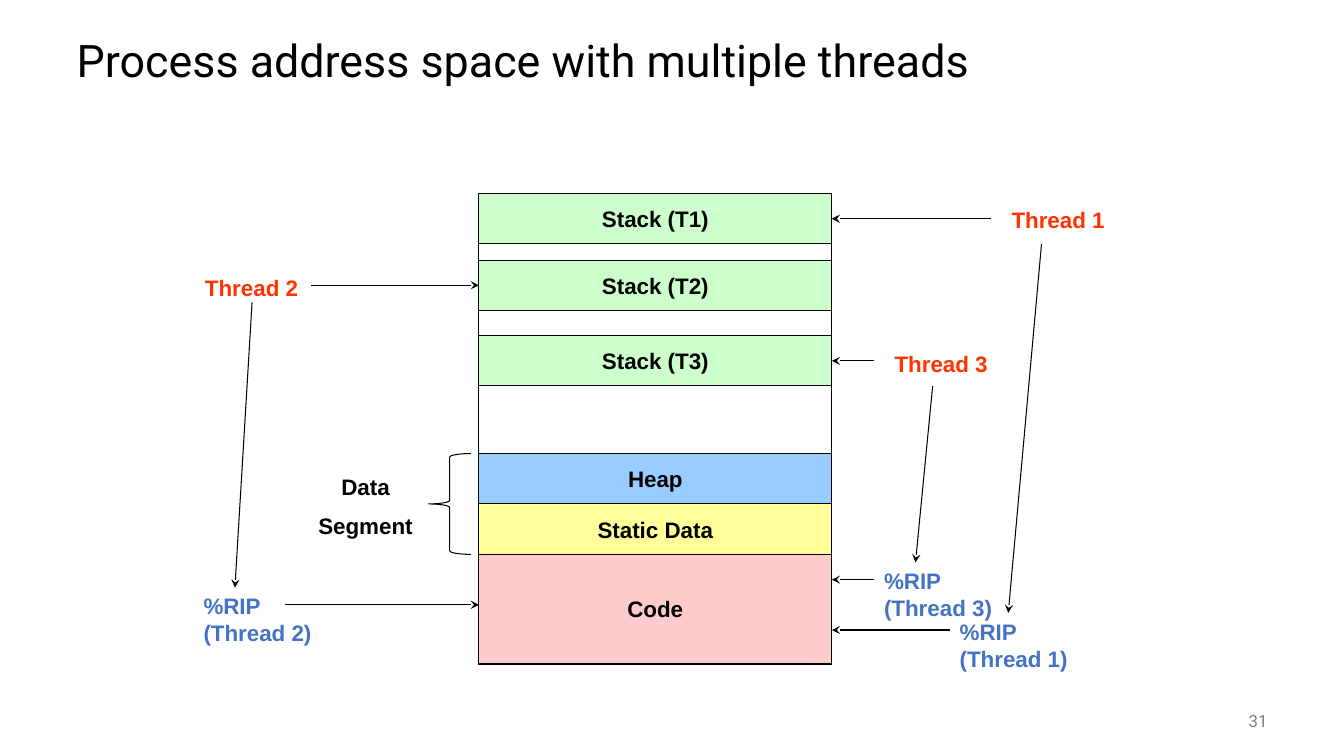
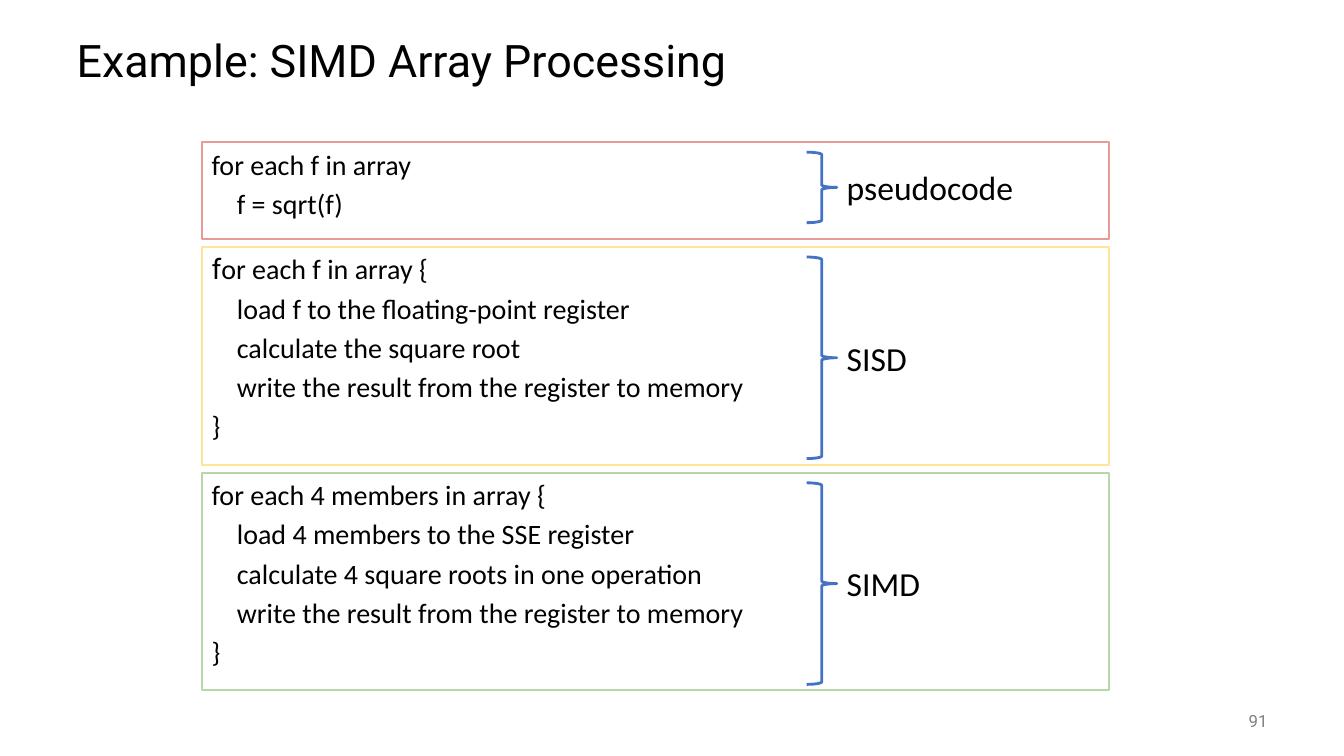
import dataclasses
import typing

import lxml.etree
import pptx
import pptx.dml.color
import pptx.enum.shapes
import pptx.enum.text
import pptx.oxml.ns
import pptx.shapes.autoshape
import pptx.slide
import pptx.text.text
import pptx.util

Inches = pptx.util.Inches
Pt = pptx.util.Pt
Align = pptx.enum.text.PP_ALIGN
Anchor = pptx.enum.text.MSO_ANCHOR
Form = pptx.enum.shapes.MSO_SHAPE
Format = dict[str, typing.Any]

# Shared colours and text styles
BLACK, GREY, RED, BLUE = "000000", "808080", "FF3300", "4472C4"
GREEN, SKY, YELLOW, PINK = "CCFFCC", "99CCFF", "FFFF99", "FFCCCC"

TITLE: Format = {"name": "Roboto", "size": Pt(32)}
NUMBER: Format = {"name": "Roboto", "size": Pt(12)}
LABEL: Format = {"name": "Arial", "size": Pt(16), "bold": True}
CODE: Format = {"name": "Calibri", "size": Pt(20)}
NOTE: Format = {"name": "Calibri", "size": Pt(24)}


class Span(typing.NamedTuple):
    text: str
    font: str


Line = str | tuple[Span, ...]


@dataclasses.dataclass
class Box:
    left: float
    top: float
    width: float
    height: float

    def place(self) -> tuple[int, ...]:
        return tuple(Inches(n) for n in dataclasses.astuple(self))


class Block(typing.NamedTuple):
    text: str
    top: float
    height: float
    fill: str


class Tag(typing.NamedTuple):
    lines: list[Line]
    box: Box
    color: str
    align: Align = Align.CENTER


class Arrow(typing.NamedTuple):
    x1: float
    y1: float
    x2: float
    y2: float


class Panel(typing.NamedTuple):
    label: str
    height: float
    brace: float
    color: str
    lines: list[Line]


def hue(color: str) -> pptx.dml.color.RGBColor:
    return pptx.dml.color.RGBColor.from_string(color)


def apply(target: typing.Any, values: Format) -> None:
    for name, value in values.items():
        setattr(target, name, value)


def write(frame: pptx.text.text.TextFrame, lines: list[Line], style: Format,
          color: str = BLACK, align: Align = Align.LEFT,
          anchor: Anchor = Anchor.TOP, gap: float = 0) -> None:
    """Fill a frame, one paragraph per line."""
    apply(frame, {"word_wrap": True, "vertical_anchor": anchor})
    for row, line in enumerate(lines):
        para = frame.paragraphs[0] if row == 0 else frame.add_paragraph()
        para.alignment = align
        if row:
            para.space_before = Pt(gap)
        spans = (Span(line, style["name"]),) if isinstance(line, str) else line
        for span in spans:
            run = para.add_run()
            run.text = span.text
            apply(run.font, style | {"name": span.font})
            run.font.color.rgb = hue(color)


def add_text(slide: pptx.slide.Slide, box: Box, lines: list[Line],
             style: Format, **look: typing.Any) -> None:
    frame = slide.shapes.add_textbox(*box.place()).text_frame
    write(frame, lines, style, **look)


def add_form(slide: pptx.slide.Slide, kind: Form, box: Box, line: str,
             width: float, fill: str = "") -> pptx.shapes.autoshape.Shape:
    shape = slide.shapes.add_shape(kind, *box.place())
    shape.shadow.inherit = False
    shape.line.color.rgb = hue(line)
    shape.line.width = Pt(width)
    if fill:
        shape.fill.solid()
        shape.fill.fore_color.rgb = hue(fill)
    else:
        shape.fill.background()
    return shape


def add_arrow(slide: pptx.slide.Slide, arrow: Arrow) -> None:
    link = slide.shapes.add_connector(
        pptx.enum.shapes.MSO_CONNECTOR.STRAIGHT, *(Inches(n) for n in arrow))
    link.line.color.rgb = hue(BLACK)
    link.line.width = Pt(0.75)
    qn = pptx.oxml.ns.qn
    props = link.element.spPr
    lxml.etree.SubElement(props.find(qn("a:ln")), qn("a:tailEnd"), type="stealth")
    lxml.etree.SubElement(props, qn("a:effectLst"))


def add_slide(deck: typing.Any, title: str, number: int) -> pptx.slide.Slide:
    """Add a slide with the shared title and page number."""
    slide = deck.slides.add_slide(deck.slide_layouts[5])
    head = slide.shapes.title
    spots = ("left", "top", "width", "height")
    apply(head, dict(zip(spots, Box(0.66, 0.25, 12, 0.75).place())))
    head.text_frame.auto_size = pptx.enum.text.MSO_AUTO_SIZE.NONE
    write(head.text_frame, [title], TITLE, anchor=Anchor.MIDDLE)
    head.text_frame.paragraphs[0].line_spacing = 0.9
    add_text(slide, Box(11.67, 6.95, 1, 0.4), [str(number)], NUMBER,
             color=GREY, align=Align.RIGHT, anchor=Anchor.MIDDLE)
    return slide


# Slide 31: memory layout
BLOCKS = [
    Block("Stack (T1)", 1.92, 0.5, GREEN),
    Block("Stack (T2)", 2.58, 0.5, GREEN),
    Block("Stack (T3)", 3.33, 0.5, GREEN),
    Block("Heap", 4.5, 0.5, SKY),
    Block("Static Data", 5, 0.5, YELLOW),
    Block("Code", 5.5, 1.08, PINK),
]
TAGS = [
    Tag(["Thread 1"], Box(9.58, 2, 1.83, 0.37), RED),
    Tag(["Thread 2"], Box(1.58, 2.67, 1.83, 0.37), RED),
    Tag(["Thread 3"], Box(8.42, 3.42, 1.83, 0.37), RED),
    Tag(["%RIP (Thread 1)"], Box(9.42, 6.08, 1.33, 0.64), BLUE, Align.LEFT),
    Tag(["%RIP (Thread 2)"], Box(1.92, 5.83, 1.41, 0.64), BLUE, Align.LEFT),
    Tag(["%RIP (Thread 3)"], Box(8.67, 5.58, 1.5, 0.64), BLUE, Align.LEFT),
    Tag(["Data", "Segment"], Box(3, 4.64, 1.25, 0.77), BLACK),
]
LEFT, WIDTH = 4.75, 3.5
RIGHT = LEFT + WIDTH
ARROWS = [
    # Threads to their stacks
    Arrow(9.83, 2.17, RIGHT, 2.17),
    Arrow(3.08, 2.83, LEFT, 2.83),
    Arrow(8.67, 3.58, RIGHT, 3.58),
    # Threads to their %RIP
    Arrow(10.33, 2.42, 10, 6.08),
    Arrow(2.5, 3, 2.33, 5.83),
    Arrow(9.25, 3.83, 9.08, 5.58),
    # Each %RIP to the code
    Arrow(9.42, 6.25, RIGHT, 6.25),
    Arrow(2.83, 6, LEFT, 6),
    Arrow(8.67, 5.75, RIGHT, 5.75),
]


def draw_threads(deck: typing.Any) -> None:
    slide = add_slide(deck, "Process address space with multiple threads", 31)
    add_form(slide, Form.RECTANGLE, Box(LEFT, 1.92, WIDTH, 4.67), BLACK, 0.75)
    for block in BLOCKS:
        box = Box(LEFT, block.top, WIDTH, block.height)
        shape = add_form(slide, Form.RECTANGLE, box, BLACK, 0.75, block.fill)
        write(shape.text_frame, [block.text], LABEL,
              align=Align.CENTER, anchor=Anchor.MIDDLE)
    for tag in TAGS:
        add_text(slide, tag.box, tag.lines, LABEL,
                 color=tag.color, align=tag.align, gap=9)
    for arrow in ARROWS:
        add_arrow(slide, arrow)
    add_form(slide, Form.LEFT_BRACE, Box(4.25, 4.5, 0.42, 1), BLACK, 0.75)


# Slide 91: code panels
PANELS = [
    Panel("pseudocode", 0.96, 0.7, "EA9999", [
        "for each f in array",
        "    f = sqrt(f)",
    ]),
    Panel("SISD", 2.16, 2, "FFE599", [
        (Span("f", "Roboto"), Span("or each f in array {", "Calibri")),
        "    load f to the floating-point register",
        "    calculate the square root",
        "    write the result from the register to memory",
        "}",
    ]),
    Panel("SIMD", 2.16, 2, "B6D7A8", [
        "for each 4 members in array {",
        "    load 4 members to the SSE register",
        "    calculate 4 square roots in one operation",
        "    write the result from the register to memory",
        "}",
    ]),
]


def draw_panels(deck: typing.Any) -> None:
    slide = add_slide(deck, "Example: SIMD Array Processing", 91)
    top, gap = 1.41, 0.08
    for panel in PANELS:
        box = Box(2, top, 9, panel.height)
        shape = add_form(slide, Form.RECTANGLE, box, panel.color, 1.5)
        write(shape.text_frame, panel.lines, CODE, gap=4)
        start = top + 0.1
        add_form(slide, Form.RIGHT_BRACE, Box(8, start, 0.3, panel.brace), BLUE, 2)
        middle = start + panel.brace / 2
        add_text(slide, Box(8.3, middle - 0.25, 2.44, 0.5), [panel.label], NOTE)
        top += panel.height + gap


def main() -> None:
    deck = pptx.Presentation()
    apply(deck, {"slide_width": Inches(13.33), "slide_height": Inches(7.5)})
    draw_threads(deck)
    draw_panels(deck)
    deck.save("out.pptx")


if __name__ == "__main__":
    main()
